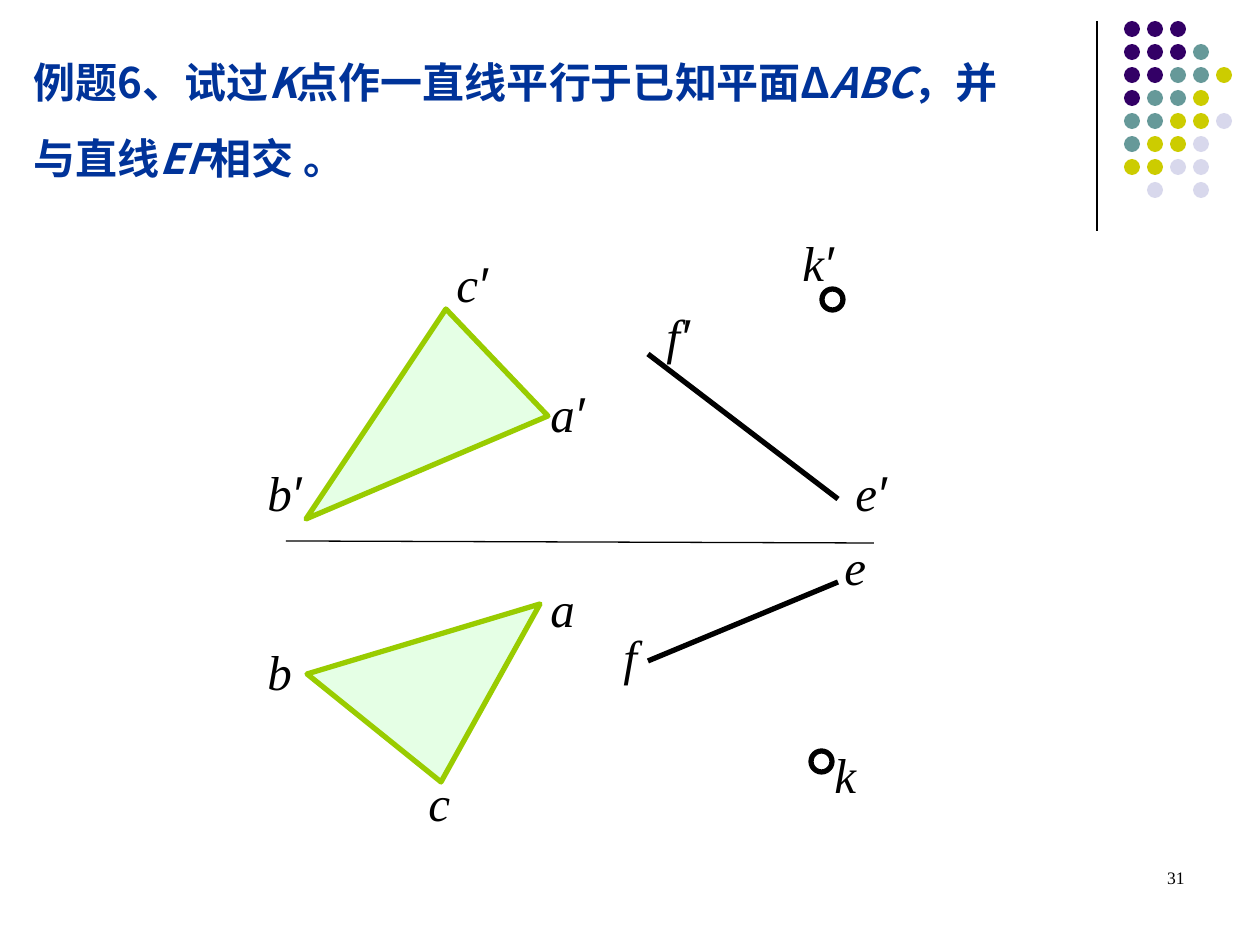
from lxml import etree
from pptx import Presentation
from pptx.dml.color import RGBColor
from pptx.enum.shapes import MSO_CONNECTOR, MSO_SHAPE
from pptx.enum.text import MSO_ANCHOR, PP_ALIGN
from pptx.oxml.ns import qn
from pptx.util import Pt

ELLIPSE = MSO_SHAPE.OVAL
STRAIGHT = MSO_CONNECTOR.STRAIGHT
TOP, MIDDLE = MSO_ANCHOR.TOP, MSO_ANCHOR.MIDDLE
LEFT, RIGHT = PP_ALIGN.LEFT, PP_ALIGN.RIGHT

EMU_PER_PX = 914400 / 126
SERIF, SANS, CJK = "Times New Roman", "Arial", "Noto Sans CJK SC"
BLACK, WHITE, BLUE = "000000", "FFFFFF", "003399"
PLANE_FILL, PLANE_EDGE = "CCFFCC", "99CC00"

DOT_COLORS = {"P": "330066", "T": "669999", "Y": "CCCC00", "L": "D8D8EC"}
DOT_ROWS = ["PPP", "PPPT", "PPTTY", "PTTY", "TTYYL", "TYYL", "YYLL", " L L"]
DOT_LEFT, DOT_TOP, DOT_PITCH, DOT_SIZE = 1124, 21, 23, 16

TITLE = [("例题6、试过", False), ("K", True), ("点作一直线平行于已知平面Δ", False),
         ("ABC", True), ("，并与直线", False), ("EF", True), ("相交 。", False)]

# Projected point: left, top and width of its label
POINT_LABELS = {
    "a": (538, 572, 39), "b": (255, 635, 57), "c": (416, 766, 35),
    "e": (832, 530, 72), "f": (611, 620, 63), "k": (822, 738, 34),
    "a′": (538, 377, 95), "b′": (255, 456, 135), "c′": (444, 247, 123),
    "e′": (843, 456, 110), "f′": (654, 299, 72), "k′": (790, 226, 84),
}
LABEL_HEIGHT = 72
PLANE_VIEWS = [
    [(441, 782), (307, 674), (540, 604)],
    [(306, 519), (446, 309), (548, 416)],
]
EF_VIEWS = [((838, 499), (648, 354)), ((648, 661), (838, 582))]
K_VIEWS = [(811, 751), (822, 289)]
K_SIZE = 21


def px(length):
    return round(length * EMU_PER_PX)


def rgb(value):
    return RGBColor.from_string(value)


def apply(target, values):
    for name, value in values.items():
        setattr(target, name, value)


def style_outline(line, color, width):
    line.color.rgb = rgb(color)
    line.width = Pt(width)


def add_line(slide, start, end, width):
    line = slide.shapes.add_connector(STRAIGHT, *map(px, (*start, *end)))
    style_outline(line.line, BLACK, width)
    etree.SubElement(line._element.spPr, qn("a:effectLst"))


def add_circle(slide, left, top, size, fill, outline_width=0):
    circle = slide.shapes.add_shape(ELLIPSE, *map(px, (left, top, size, size)))
    circle.shadow.inherit = False
    circle.fill.solid()
    circle.fill.fore_color.rgb = rgb(fill)
    if outline_width:
        style_outline(circle.line, BLACK, outline_width)
    else:
        circle.line.fill.background()


def add_plane(slide, corners):
    """Draw one view of the plane as a half-transparent triangle."""
    builder = slide.shapes.build_freeform(*corners[0], scale=EMU_PER_PX)
    builder.add_line_segments(corners[1:], close=True)
    plane = builder.convert_to_shape()
    plane.shadow.inherit = False
    plane.fill.solid()
    plane.fill.fore_color.rgb = rgb(PLANE_FILL)
    fill_color = plane._element.spPr.find(qn("a:solidFill"))[0]
    etree.SubElement(fill_color, qn("a:alpha"), val="50000")
    style_outline(plane.line, PLANE_EDGE, 3)
    etree.SubElement(plane._element.spPr.find(qn("a:ln")), qn("a:round"))


def add_text(slide, box, runs, color, size, frame_format, paragraph_format):
    """Add one paragraph of (text, font name, font format) runs."""
    frame = slide.shapes.add_textbox(*map(px, box)).text_frame
    apply(frame, {"word_wrap": True, **frame_format})
    paragraph = frame.paragraphs[0]
    apply(paragraph, paragraph_format)
    for text, typeface, font_format in runs:
        run = paragraph.add_run()
        run.text = text
        apply(run.font, {"name": typeface, "size": Pt(size), **font_format})
        run.font.color.rgb = rgb(color)
        etree.SubElement(run._r.rPr, qn("a:ea"), typeface=typeface)


def add_dot_pattern(slide):
    for row, codes in enumerate(DOT_ROWS):
        for column, code in enumerate(codes):
            if code in DOT_COLORS:
                add_circle(slide, DOT_LEFT + column * DOT_PITCH,
                           DOT_TOP + row * DOT_PITCH, DOT_SIZE, DOT_COLORS[code])


def add_point_label(slide, name, left, top, width):
    runs = [(char, SANS if char == "′" else SERIF, {"italic": True}) for char in name]
    add_text(slide, (left, top, width, LABEL_HEIGHT), runs, BLACK, 28,
             {"vertical_anchor": MIDDLE}, {"alignment": LEFT})


def main():
    deck = Presentation()
    apply(deck, {"slide_width": px(1260), "slide_height": px(945)})
    slide = deck.slides.add_slide(deck.slide_layouts[6])

    add_line(slide, (1097, 21), (1097, 231), 0.75)
    add_dot_pattern(slide)

    add_line(slide, (286, 541), (874, 543), 0.75)
    for corners in PLANE_VIEWS:
        add_plane(slide, corners)
    for start, end in EF_VIEWS:
        add_line(slide, start, end, 3)
    for name, place in POINT_LABELS.items():
        add_point_label(slide, name, *place)
    for left, top in K_VIEWS:
        add_circle(slide, left, top, K_SIZE, WHITE, 3)

    title_runs = [(text, CJK, {"bold": True, "italic": italic}) for text, italic in TITLE]
    add_text(slide, (21, 21, 1038, 168), title_runs, BLUE, 24,
             {"vertical_anchor": TOP, "margin_top": px(10), "margin_right": px(24)},
             {"alignment": LEFT, "line_spacing": Pt(43.4)})
    add_text(slide, (903, 861, 294, 63), [("31", SERIF, {})], BLACK, 10,
             {"vertical_anchor": TOP}, {"alignment": RIGHT})

    deck.save("out.pptx")


if __name__ == "__main__":
    main()
